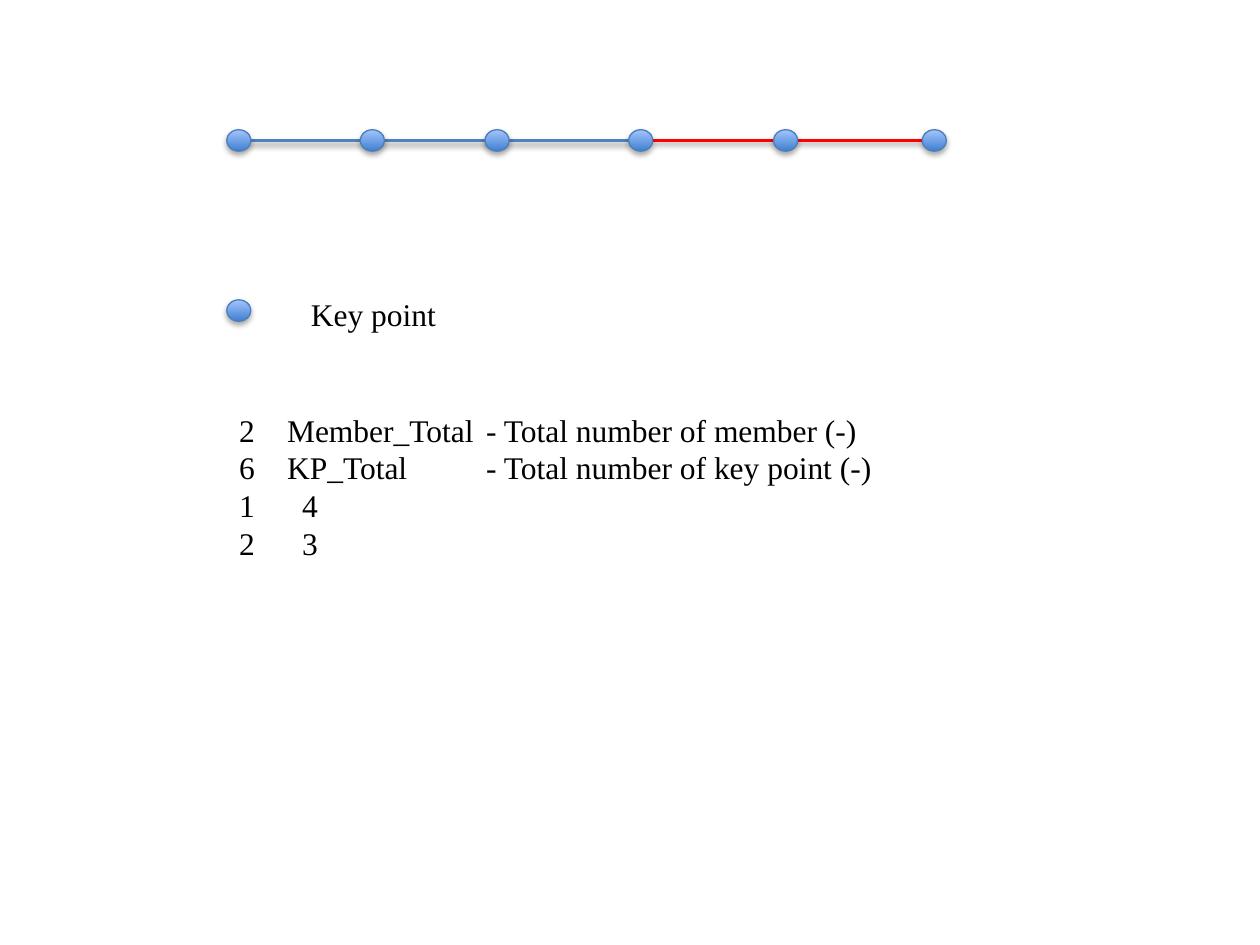
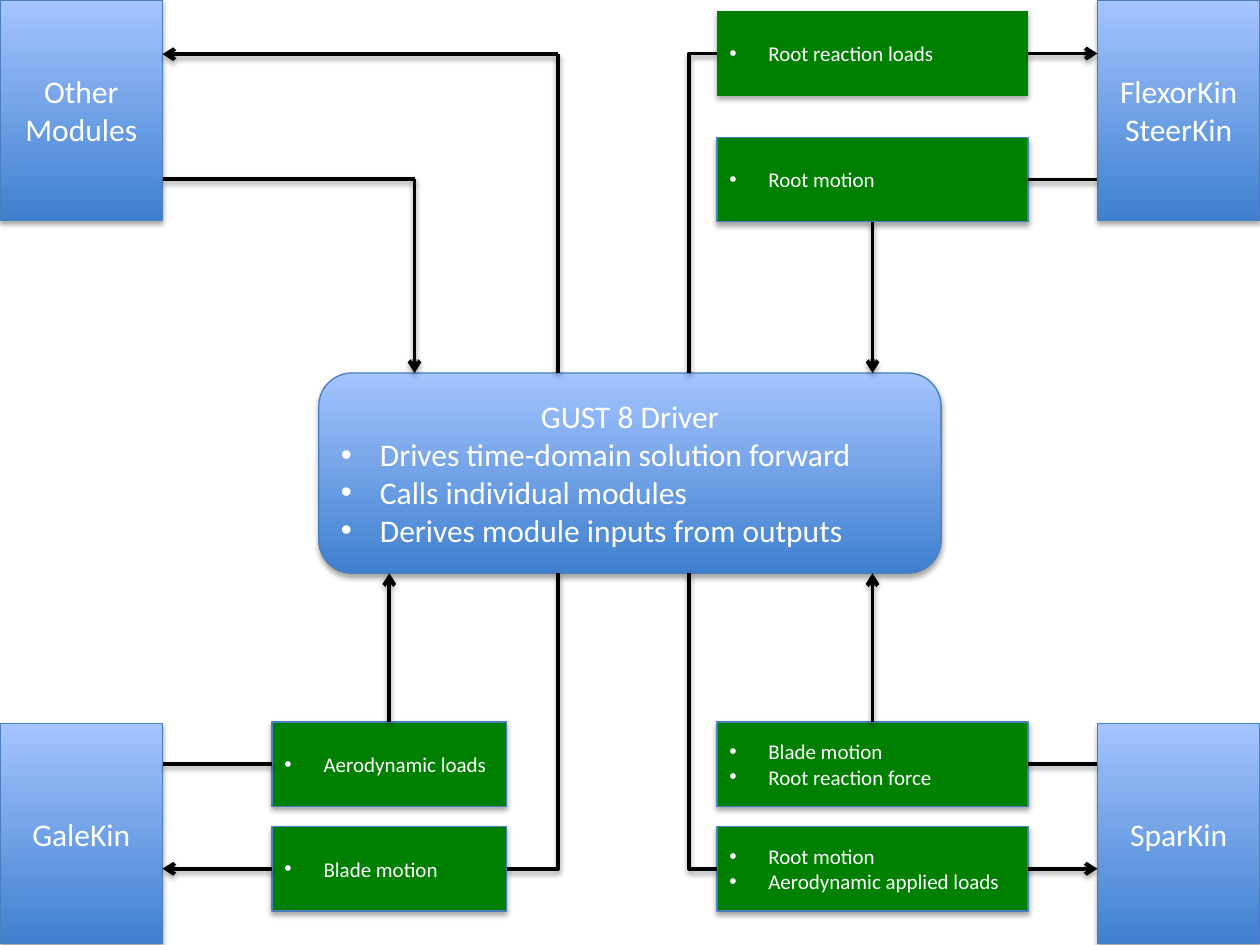
"""Build a key point diagram and a module coupling diagram."""
import pptx
import pptx.dml.color
import pptx.enum.shapes
import pptx.enum.text
import pptx.oxml
import pptx.oxml.ns
import pptx.util
from lxml import etree

Inches = pptx.util.Inches
SHAPE = pptx.enum.shapes.MSO_SHAPE
ALIGN = pptx.enum.text.PP_ALIGN
COLORS = {
    "deep": "3F80CE", "pale": "A4C4FF", "edge": "4B7EBC", "member": "4F81BD",
    "red": "FF0000", "green": "008000", "black": "000000", "white": "FFFFFF",
}
SANS, SERIF = "Calibri", "Times New Roman"
INDENT = 0.31
DOT_W, DOT_H = 0.19, 0.17
MODULE_W, MODULE_H, DATA_H = 1.29, 1.75, 0.67
DRIVER = (2.53, 2.96, 4.94, 1.59)
LEFT_PORT, RIGHT_PORT = 4.43, 5.47


def rgb(name):
    """Return the named colour."""
    return pptx.dml.color.RGBColor.from_string(COLORS[name])


def add_child(parent, tag, **attrs):
    """Append a DrawingML element and return it."""
    child = etree.SubElement(parent, pptx.oxml.ns.qn("a:" + tag))
    for key, value in attrs.items():
        child.set(key, str(value))
    return child


def add_shadow(sp):
    """Give a shape or connector the shared soft shadow."""
    effects = add_child(sp.element.spPr, "effectLst")
    outer = add_child(effects, "outerShdw", blurRad=40000, dist=23000,
                      dir=5400000, rotWithShape=0)
    add_child(add_child(outer, "srgbClr", val=COLORS["black"]), "alpha", val=35000)


def add_node(slide, kind, box, fill=None, outline=True):
    """Add a shadowed shape with a flat fill, or the blue gradient by default."""
    sp = slide.shapes.add_shape(kind, *map(Inches, box))
    if fill:
        sp.fill.solid()
        sp.fill.fore_color.rgb = rgb(fill)
    else:
        sp.fill.gradient()
        sp.fill.gradient_angle = 90
        for stop, name in zip(sp.fill.gradient_stops, ("deep", "pale")):
            stop.color.rgb = rgb(name)
    if outline:
        sp.line.color.rgb = rgb("edge")
        sp.line.width = pptx.util.Pt(0.75)
    else:
        sp.line.fill.background()
    add_shadow(sp)
    sp.text_frame.word_wrap = True
    sp.text_frame.vertical_anchor = pptx.enum.text.MSO_ANCHOR.MIDDLE
    return sp


def add_line(slide, start, end, color="black", width=2.25, arrow=False):
    """Add a straight connector, with an arrowhead at its end if asked."""
    line = slide.shapes.add_connector(
        pptx.enum.shapes.MSO_CONNECTOR.STRAIGHT, *map(Inches, (*start, *end)))
    line.line.color.rgb = rgb(color)
    line.line.width = pptx.util.Pt(width)
    if arrow:
        add_child(line.line._get_or_add_ln(), "tailEnd", type="arrow")
    add_shadow(line)
    return line


def add_elbow(slide, start, end):
    """Add a one-bend connector that runs vertically, then horizontally."""
    (x1, y1), (x2, y2) = start, end
    cx, cy, dx, dy = (x1 + x2) / 2, (y1 + y2) / 2, x2 - x1, y2 - y1
    line = add_line(slide, (cx - dy / 2, cy + dx / 2), (cx + dy / 2, cy - dx / 2))
    props = line.element.spPr
    props.find(pptx.oxml.ns.qn("a:prstGeom")).set("prst", "bentConnector2")
    props.find(pptx.oxml.ns.qn("a:xfrm")).set("rot", "5400000")


def add_paragraph(tf, text, size, font=SANS, color="white", align=ALIGN.LEFT):
    """Fill the first empty paragraph, or a new one, with a single run."""
    p = tf.paragraphs[0] if not tf.paragraphs[0].runs else tf.add_paragraph()
    p.alignment = align
    r = p.add_run()
    r.text = text
    r.font.size = pptx.util.Pt(size)
    r.font.name = font
    r.font.color.rgb = rgb(color)
    return p


def set_indent(p, hang):
    """Set a hanging indent and return the paragraph properties."""
    props = p._p.get_or_add_pPr()
    props.set("marL", str(Inches(hang)))
    props.set("indent", str(-Inches(hang)))
    return props


def add_bullets(tf, items, size):
    """Add bulleted paragraphs."""
    for item in items:
        props = set_indent(add_paragraph(tf, item, size), INDENT)
        add_child(props, "buFont", typeface="Arial")
        add_child(props, "buChar", char="•")


def add_textbox(slide, box):
    """Add a wrapping text box and return its frame."""
    tf = slide.shapes.add_textbox(*map(Inches, box)).text_frame
    tf.word_wrap = True
    tf.auto_size = pptx.enum.text.MSO_AUTO_SIZE.SHAPE_TO_FIT_TEXT
    return tf


def add_key_point(slide, x, y):
    """Add one key point dot."""
    add_node(slide, SHAPE.OVAL, (x, y, DOT_W, DOT_H))


def member_chain(slide, x, y):
    """Draw the two members and their key points."""
    mid = y + DOT_H / 2
    add_line(slide, (x + 0.09, mid), (x + 3.19, mid), "member")
    add_line(slide, (x + 3.38, mid), (x + 5.62, mid), "red", 2)
    for offset in (0, 1.06, 2.05, 3.19, 4.34, 5.52):
        add_key_point(slide, x + offset, y)


def legend(slide, x, y):
    """Draw the key point legend."""
    add_key_point(slide, x, y + 0.09)
    tf = add_textbox(slide, (x + 0.57, y, 1.94, 0.4))
    add_paragraph(tf, "Key point", 18, SERIF, "black")


def member_listing(slide, x, y):
    """Write the input lines for members and key points."""
    tf = add_textbox(slide, (x, y, 6.52, 1.31))
    for text in ("2\tMember_Total\t- Total number of member (-)",
                 "6\tKP_Total\t- Total number of key point (-)"):
        p = add_paragraph(tf, text, 18, SERIF, "black")
        tabs = add_child(p._p.get_or_add_pPr(), "tabLst")
        for stop in (0.38, 1.96):
            add_child(tabs, "tab", pos=Inches(stop), algn="l")
    for count in ("4", "3"):
        props = set_indent(add_paragraph(tf, count, 18, SERIF, "black"), 0.5)
        add_child(props, "buFont", typeface=SERIF)
        add_child(props, "buAutoNum", type="arabicPlain")


def driver(slide, box):
    """Draw the central driver."""
    tf = add_node(slide, SHAPE.FLOWCHART_ALTERNATE_PROCESS, box).text_frame
    add_paragraph(tf, "GUST 8 Driver", 18, align=ALIGN.CENTER)
    add_bullets(tf, ("Drives time-domain solution forward",
                     "Calls individual modules",
                     "Derives module inputs from outputs"), 18)


def module(slide, x, y, names):
    """Draw a corner module."""
    sp = add_node(slide, SHAPE.FLOWCHART_PROCESS, (x, y, MODULE_W, MODULE_H))
    for name in names:
        add_paragraph(sp.text_frame, name, 18, align=ALIGN.CENTER)


def exchange(slide, box, items, inward, outline=True):
    """Draw a data box with its links to the nearest module and the driver."""
    x, y, w, h = box
    sp = add_node(slide, SHAPE.FLOWCHART_PROCESS, box, "green", outline)
    add_bullets(sp.text_frame, items, 12)
    mid = y + h / 2
    on_right, on_top = x > 5, y < DRIVER[1]
    outer, inner = (x + w, x) if on_right else (x, x + w)
    module_edge = 10 - MODULE_W if on_right else MODULE_W
    driver_edge = DRIVER[1] if on_top else DRIVER[1] + DRIVER[3]
    add_line(slide, (outer, mid), (module_edge, mid), arrow=not inward)
    if inward:
        center = x + w / 2
        add_line(slide, (center, y + h if on_top else y), (center, driver_edge), arrow=True)
    else:
        port = RIGHT_PORT if on_right else LEFT_PORT
        add_elbow(slide, (port, driver_edge), (inner, mid))


def direct_links(slide, x, top):
    """Link the driver and the upper left module in both directions."""
    out_y, in_y, in_x = top + 0.43, top + 1.42, x + 2
    add_line(slide, (LEFT_PORT, DRIVER[1]), (LEFT_PORT, out_y))
    add_line(slide, (LEFT_PORT, out_y), (x, out_y), arrow=True)
    add_line(slide, (x, in_y), (in_x, in_y))
    add_line(slide, (in_x, in_y), (in_x, DRIVER[1]), arrow=True)


def key_point_slide(slide):
    """Compose the key point slide."""
    left = 1.8
    member_chain(slide, left, 1.03)
    legend(slide, left, 2.29)
    member_listing(slide, left, 3.21)


def coupling_slide(slide):
    """Compose the module coupling slide."""
    driver(slide, DRIVER)
    right, bottom = 10 - MODULE_W, 7.49 - MODULE_H
    module(slide, 0, 0, ("Other", "Modules"))
    module(slide, right, 0, ("FlexorKin", "SteerKin"))
    module(slide, 0, bottom, ("GaleKin",))
    module(slide, right, bottom, ("SparKin",))
    wide, narrow = (5.69, 2.47), (2.16, 1.86)
    for (x, w), y, items, inward, outline in (
            (wide, 0.09, ("Root reaction loads",), False, False),
            (wide, 1.09, ("Root motion",), True, True),
            (narrow, 5.73, ("Aerodynamic loads",), True, True),
            (narrow, 6.56, ("Blade motion",), False, True),
            (wide, 5.73, ("Blade motion", "Root reaction force"), True, True),
            (wide, 6.56, ("Root motion", "Aerodynamic applied loads"), False, True)):
        exchange(slide, (x, y, w, DATA_H), items, inward, outline)
    direct_links(slide, MODULE_W, 0)


def main():
    """Build and save the presentation."""
    prs = pptx.Presentation()
    prs.slide_width, prs.slide_height = Inches(10), Inches(7.5)
    for compose in (key_point_slide, coupling_slide):
        compose(prs.slides.add_slide(prs.slide_layouts[6]))
    prs.save("out.pptx")


if __name__ == "__main__":
    main()
